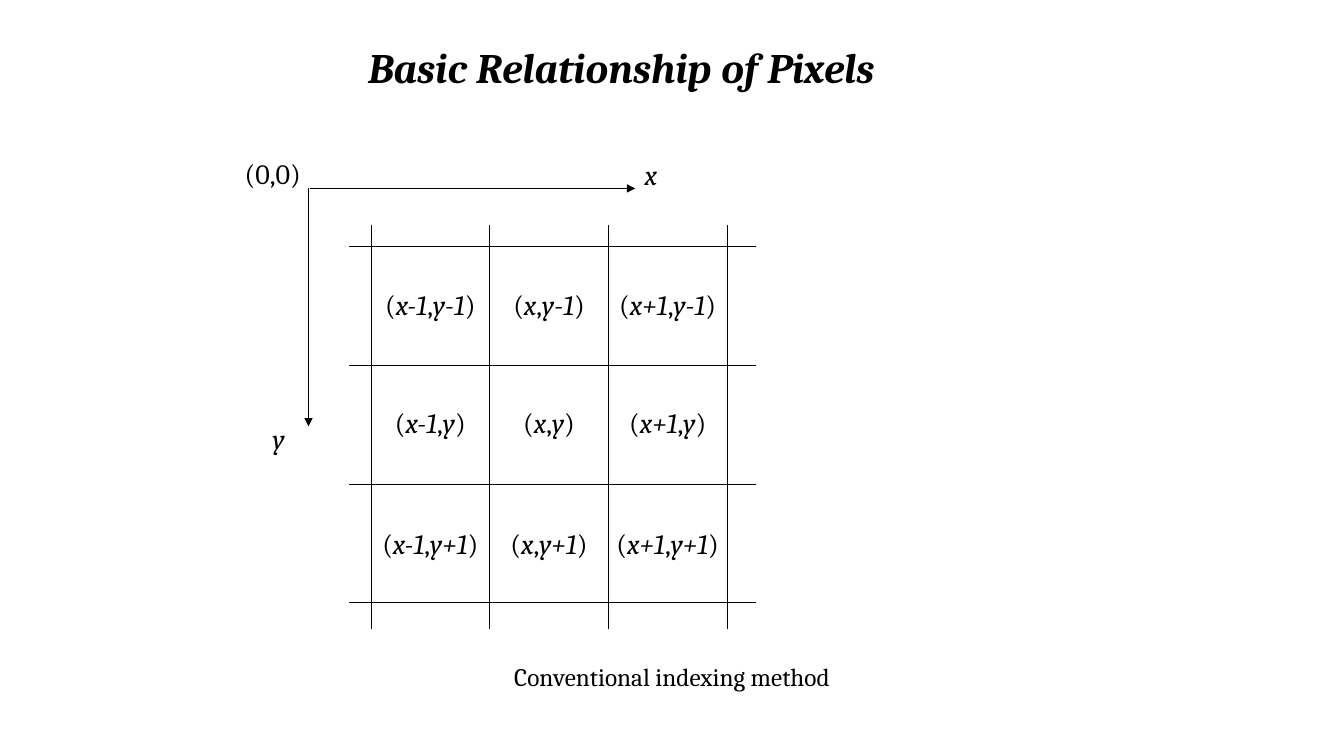
"""Build the slide on pixel coordinates and the conventional indexing method."""
from lxml import etree
from pptx import Presentation
from pptx import util as u
from pptx.dml.color import RGBColor
from pptx.enum import shapes, text
from pptx.oxml.ns import qn

TITLE = "Basic Relationship of Pixels"
FONT = "Cambria"
COLORS = {"ink": "000000", "paper": "FFFFFF"}
LABELS = [
    ([("x", True)], (6.29, 1.51, 0.33, 0.44), 20),
    ([("y", True)], (2.6, 4.13, 0.33, 0.44), 20),
    ([("(0,0)", False)], (2.31, 1.5, 0.79, 0.44), 20),
    ([("Conventional indexing method", False)], (4.92, 6.51, 3.49, 0.4), 18),
]
AXES = [(3.07, 1.87, 6.3, 1.87), (3.06, 1.87, 3.06, 4.23)]
OFFSETS = [("-1", 0.24), ("", 0), ("+1", 0.3)]
ROW_TOPS = [2.8, 3.97, 5.17]
GRID_LEFT, GRID_TOP, CELL = 3.68, 2.45, 1.177
BASE_WIDTH, TEXT_HEIGHT = 0.73, 0.44


def write(sp, runs, size, align, bold=False):
    tf = sp.text_frame
    tf.word_wrap = False
    tf.auto_size = text.MSO_AUTO_SIZE.SHAPE_TO_FIT_TEXT
    tf.vertical_anchor = text.MSO_ANCHOR.TOP
    p = tf.paragraphs[0]
    p.alignment = align
    for words, italic in runs:
        r = p.add_run()
        r.text = words
        r.font.name = FONT
        r.font.size = u.Pt(size)
        r.font.bold = bold
        r.font.italic = italic
        r.font.color.rgb = RGBColor.from_string(COLORS["ink"])


def add_label(parent, runs, box, size):
    sp = parent.add_textbox(*map(u.Inches, box))
    write(sp, runs, size, text.PP_ALIGN.CENTER)


def add_line(parent, ends, arrow=False):
    cx = parent.add_connector(shapes.MSO_CONNECTOR.STRAIGHT, *map(u.Inches, ends))
    cx.line.color.rgb = RGBColor.from_string(COLORS["ink"])
    cx.line.width = u.Pt(0.75)
    if arrow:
        ln = cx.line._get_or_add_ln()
        etree.SubElement(ln, qn("a:tailEnd"), type="triangle")
    etree.SubElement(cx._element.spPr, qn("a:effectLst"))


def main():
    prs = Presentation()
    prs.slide_width, prs.slide_height = u.Inches(13.33), u.Inches(7.5)
    s = prs.slides.add_slide(prs.slide_layouts[5])
    s.background.fill.solid()
    s.background.fill.fore_color.rgb = RGBColor.from_string(COLORS["paper"])

    title = s.shapes.title
    title.left, title.top, title.width, title.height = map(u.Inches, (3.55, 0.36, 5.33, 0.61))
    write(title, [(TITLE, True)], 30, text.PP_ALIGN.LEFT, bold=True)

    for ends in AXES:
        add_line(s.shapes, ends, arrow=True)
    for label in LABELS:
        add_label(s.shapes, *label)

    grid = s.shapes.add_group_shape().shapes
    for i in range(4):
        x, y = GRID_LEFT + i * CELL, GRID_TOP + i * CELL
        add_line(grid, (x, 2.23, x, 6.24))
        add_line(grid, (3.46, y, 7.5, y))
    for (dy, extra_y), top in zip(OFFSETS, ROW_TOPS):
        for col, (dx, extra_x) in enumerate(OFFSETS):
            width = BASE_WIDTH + extra_x + extra_y
            left = GRID_LEFT + (col + 0.5) * CELL - width / 2
            runs = [("(", False), ("x" + dx, True), (",", False), ("y" + dy, True), (")", False)]
            add_label(grid, runs, (left, top, width, TEXT_HEIGHT), 20)

    prs.save("out.pptx")


if __name__ == "__main__":
    main()
